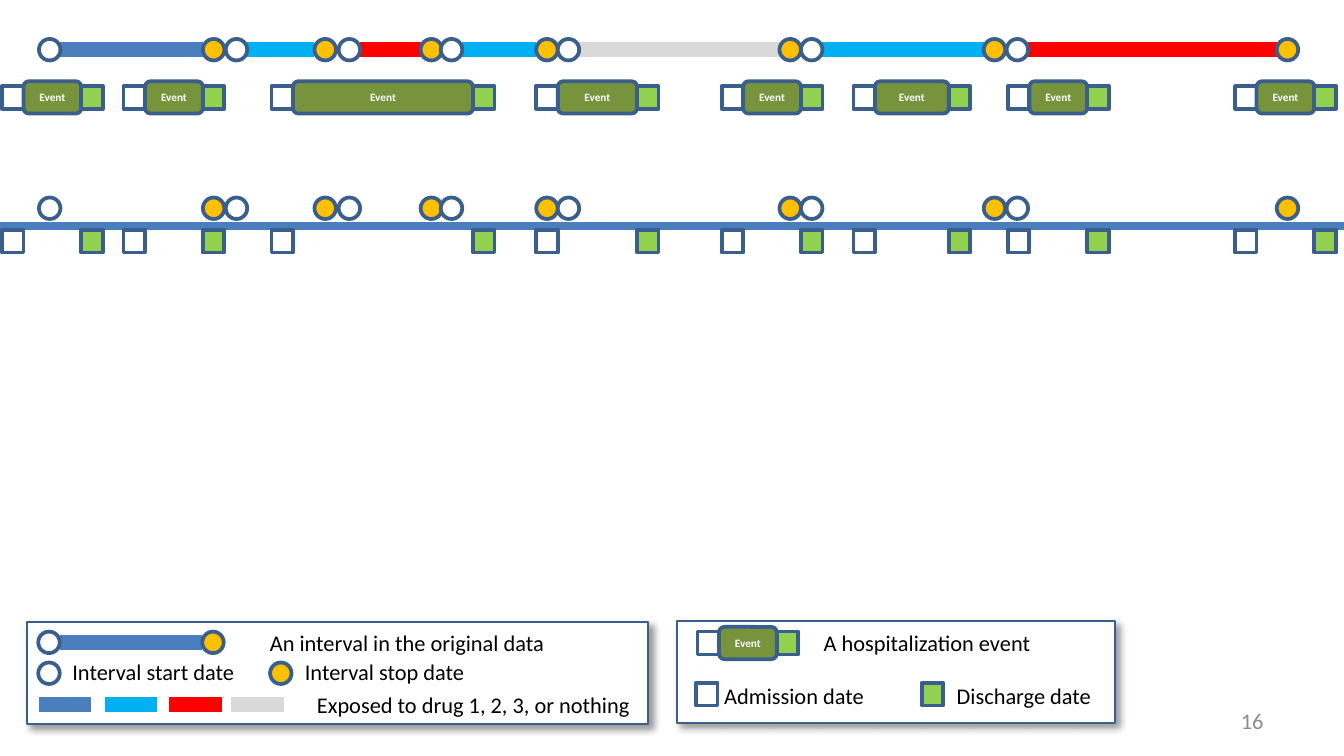
import pptx
import pptx.util
import pptx.dml.color
import pptx.enum.shapes
import pptx.enum.text
import pptx.oxml
import pptx.oxml.ns
from lxml import etree

COLORS = {
    "drug1": "4B7EBC", "drug2": "00B0F0", "drug3": "FF0000", "none": "D9D9D9",
    "outline": "3A5F8C", "start": "FFFFFF", "stop": "FFC000",
    "event": "77933C", "discharge": "92D050", "panel": "FFFFFF",
    "text": "000000", "label": "FFFFFF", "number": "8C8C8C",
}
SHAPE = pptx.enum.shapes.MSO_SHAPE
ALIGN = pptx.enum.text.PP_ALIGN
MIDDLE = pptx.enum.text.MSO_ANCHOR.MIDDLE

INTERVALS = [
    (2.9, 15.1, "drug1"), (16.8, 23.4, "drug2"), (25.2, 31.3, "drug3"),
    (32.8, 39.9, "drug2"), (41.5, 58, "none"), (59.6, 73.2, "drug2"),
    (74.9, 95, "drug3"),
]
EVENTS = [
    (0.15, 6.05), (9.2, 15.1), (20.2, 35.2), (39.9, 47.4),
    (53.7, 59.6), (63.5, 70.6), (75, 80.9), (91.9, 97.8),
]
INTERVAL_LABELS = [
    ("An interval in the original data", 19.1, 46.3, 23),
    ("Interval start date", 4.4, 48.5, 14.2),
    ("Interval stop date", 21.7, 48.5, 14),
    ("Exposed to drug 1, 2, 3, or nothing", 22.6, 50.9, 25.6),
]
EVENT_LABELS = [
    ("A hospitalization event", 60.3, 46.3, 17.6),
    ("Admission date", 52.9, 50.3, 12.5),
    ("Discharge date", 70.2, 50.3, 12.1),
]
SWATCHES = [(2.9, "drug1"), (7.8, "drug2"), (12.6, "drug3"), (17.2, "none")]

prs = pptx.Presentation()
prs.slide_width = pptx.util.Inches(10)
prs.slide_height = prs.slide_width * 9 // 16
s = prs.slides.add_slide(prs.slide_layouts[6])

COLUMNS = 100
CELL = prs.slide_width / COLUMNS
MARK, BOX_H, EVENT_H = 1.6, 1.7, 2.4


def cells(*values):
    return [round(v * CELL) for v in values]


def rgb(name):
    return pptx.dml.color.RGBColor.from_string(COLORS[name])


def group():
    return s.shapes.add_group_shape().shapes


def shape(shapes, kind, x, y, w, h, fill=None, weight=2):
    sp = shapes.add_shape(kind, *cells(x, y, w, h))
    sp.shadow.inherit = False
    if fill:
        sp.fill.solid()
        sp.fill.fore_color.rgb = rgb(fill)
    else:
        sp.fill.background()
    sp.line.color.rgb = rgb("outline")
    sp.line.width = pptx.util.Pt(weight)
    return sp


def bar(shapes, x1, x2, y, color, weight=8):
    line = shapes.add_connector(
        pptx.enum.shapes.MSO_CONNECTOR.STRAIGHT, *cells(x1, y, x2, y))
    line.line.color.rgb = rgb(color)
    line.line.width = pptx.util.Pt(weight)
    etree.SubElement(line._element.spPr, pptx.oxml.ns.qn("a:effectLst"))


def write(tf, text, size, color, align, bold=False):
    p = tf.paragraphs[0]
    p.text = text
    p.alignment = align
    p.font.name = "Calibri"
    p.font.size = pptx.util.Pt(size)
    p.font.bold = bold
    p.font.color.rgb = rgb(color)


def label(shapes, text, x, y, w):
    tf = shapes.add_textbox(*cells(x, y, w, 3)).text_frame
    tf.word_wrap = False
    write(tf, text, 12, "text", ALIGN.LEFT)


def dot(shapes, x, y, color):
    shape(shapes, SHAPE.OVAL, x, y, MARK, MARK, color)


def interval(shapes, start, stop, y, color=None):
    if color:
        bar(shapes, start + MARK, stop, y + MARK / 2, color)
    dot(shapes, start, y, "start")
    dot(shapes, stop, y, "stop")


def box(shapes, x, y, color=None):
    shape(shapes, SHAPE.RECTANGLE, x, y, MARK, BOX_H, color)


def event(shapes, admission, discharge, y, body=True):
    if body:
        left = admission + MARK
        sp = shape(shapes, SHAPE.ROUNDED_RECTANGLE, left, y - (EVENT_H - BOX_H) / 2,
                   discharge - left, EVENT_H, "event")
        tf = sp.text_frame
        tf.margin_left = tf.margin_right = tf.margin_top = tf.margin_bottom = 0
        tf.vertical_anchor = MIDDLE
        write(tf, "Event", 6, "label", ALIGN.CENTER, True)
    box(shapes, admission, y)
    box(shapes, discharge, y, "discharge")


def panel(shapes, x, y, w, h):
    sp = shape(shapes, SHAPE.RECTANGLE, x, y, w, h, "panel", 1)
    effects = sp._element.spPr.find(pptx.oxml.ns.qn("a:effectLst"))
    effects.append(pptx.oxml.parse_xml(
        '<a:outerShdw xmlns:a="http://schemas.openxmlformats.org/drawingml/2006/main" '
        'blurRad="50800" dist="38100" dir="2700000" algn="tl" rotWithShape="0">'
        '<a:srgbClr val="000000"><a:alpha val="40000"/></a:srgbClr></a:outerShdw>'))


exposure = group()
for start, stop, color in INTERVALS:
    interval(exposure, start, stop, 2.9, color)

interval_key = group()
panel(interval_key, 2, 46.3, 46.2, 7.6)
interval(interval_key, 2.85, 15.05, 47, "drug1")
dot(interval_key, 2.85, 49.3, "start")
dot(interval_key, 20.1, 49.3, "stop")
for x, color in SWATCHES:
    bar(interval_key, x, x + 3.9, 52.4, color)
for item in INTERVAL_LABELS:
    label(interval_key, *item)

hospital = group()
for admission, discharge in EVENTS:
    event(hospital, admission, discharge, 6.4)

event_key = group()
panel(event_key, 50.4, 46.2, 32.6, 7.6)
for item in EVENT_LABELS:
    label(event_key, *item)
event(event_key, 51.9, 57.8, 47)
box(event_key, 51.8, 50.8)
box(event_key, 68.6, 50.8, "discharge")

bar(s.shapes, -2.8, 103.5, 16.8, "drug1", 4.5)
interval_dates, event_dates = group(), group()
for start, stop, _ in INTERVALS:
    interval(interval_dates, start, stop, 14.7)
for admission, discharge in EVENTS:
    event(event_dates, admission, discharge, 17.1, body=False)

tf = s.shapes.add_textbox(*cells(71.7, 52.1, 23.3, 3)).text_frame
tf.word_wrap = True
tf.vertical_anchor = MIDDLE
write(tf, "16", 12, "number", ALIGN.RIGHT)

prs.save("out.pptx")
